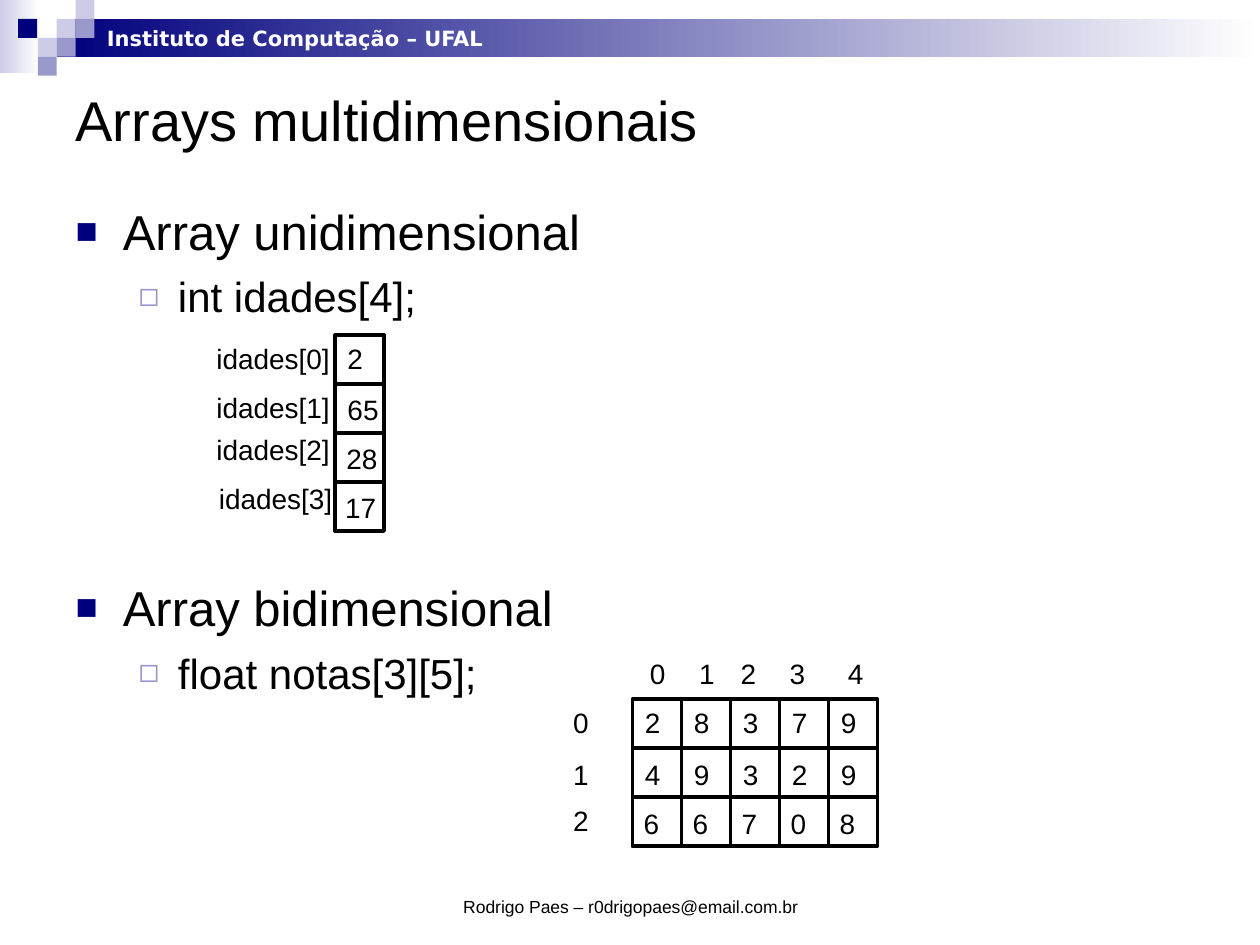
"""Build the slide on one- and two-dimensional arrays."""
from lxml import etree
from pptx import Presentation
from pptx.dml.color import RGBColor
from pptx.enum.shapes import MSO_SHAPE
from pptx.enum.text import MSO_ANCHOR, MSO_AUTO_SIZE, PP_ALIGN
from pptx.oxml.ns import qn
from pptx.util import Pt

RECTANGLE = MSO_SHAPE.RECTANGLE
MIDDLE, BOTTOM = MSO_ANCHOR.MIDDLE, MSO_ANCHOR.BOTTOM
NO_AUTOFIT = MSO_AUTO_SIZE.NONE
LEFT, CENTER = PP_ALIGN.LEFT, PP_ALIGN.CENTER
NAVY, LAVENDER, PERIWINKLE = "00007D", "CCCCE6", "9999CC"
CELL = 28


def paint(color_format, color):
    color_format.rgb = RGBColor.from_string(color)


def write(text, shape=None, paragraph=None, box=None, size=16, color="000000",
          font="Arial", bold=False, align=LEFT, anchor=None, wrap=False):
    if box:
        shape = slide.shapes.add_textbox(*map(Pt, box))
    if shape:
        frame = shape.text_frame
        frame.word_wrap = wrap
        frame.auto_size = NO_AUTOFIT
        if anchor is not None:
            frame.vertical_anchor = anchor
        paragraph = frame.paragraphs[0]
    paragraph.alignment = align
    run = paragraph.add_run()
    run.text = text
    run.font.name, run.font.size, run.font.bold = font, Pt(size), bold
    paint(run.font.color, color)


presentation = Presentation()
presentation.slide_width, presentation.slide_height = Pt(720), Pt(540)
slide = presentation.slides.add_slide(presentation.slide_layouts[1])

header_bands = [(0, 0, 22.3, 41.8, LAVENDER), (32.4, 10.8, 687.6, 21.6, NAVY)]
for left, top, width, height, color in header_bands:
    band = slide.shapes.add_shape(RECTANGLE, Pt(left), Pt(top), Pt(width), Pt(height))
    band.shadow.inherit = False
    band.line.fill.background()
    band.fill.gradient()
    band.fill.gradient_angle = 0
    for stop, position, stop_color in zip(band.fill.gradient_stops, (0, 1), (color, "FFFFFF")):
        stop.position = position
        paint(stop.color, stop_color)

header_squares = [
    (32.4, 10.8, LAVENDER), (43.2, 0, LAVENDER), (43.2, 10.8, PERIWINKLE),
    (21.6, 21.6, LAVENDER), (10.4, 10.8, NAVY), (32.4, 21.6, PERIWINKLE),
    (21.6, 32.4, PERIWINKLE),
]
for left, top, color in header_squares:
    square = slide.shapes.add_shape(RECTANGLE, Pt(left), Pt(top), Pt(10.8), Pt(10.8))
    square.shadow.inherit = False
    square.line.fill.background()
    square.fill.solid()
    paint(square.fill.fore_color, color)

write("Instituto de Computação – UFAL", box=(54, 10.8, 233.3, 21.6), size=12,
      color="FFFFFF", font="DejaVu Sans", bold=True)

title, body = slide.placeholders
title.left, title.top, title.width, title.height = Pt(36), Pt(36), Pt(648), Pt(64)
write("Arrays multidimensionais", shape=title, size=32, anchor=MIDDLE, wrap=True)

body.left, body.top, body.width, body.height = Pt(36), Pt(111.6), Pt(648), Pt(374.4)
body.text_frame.auto_size = NO_AUTOFIT
levels = [
    dict(size=28, margin=27, indent=-27, bullet="■", color=NAVY, percent=75),
    dict(size=24, margin=58.5, indent=-22.5, bullet="◻", color=PERIWINKLE, percent=80),
]
outline = [
    ("Array unidimensional", 0, 7), ("int idades[4];", 1, 6),
    ("Array bidimensional", 0, 146.5), ("float notas[3][5];", 1, 6),
]
for index, (text, level, space_before) in enumerate(outline):
    style = levels[level]
    paragraph = body.text_frame.add_paragraph() if index else body.text_frame.paragraphs[0]
    paragraph.level = level
    paragraph.space_before = Pt(space_before)
    write(text, paragraph=paragraph, size=style["size"])
    properties = paragraph._p.get_or_add_pPr()
    properties.set("marL", str(Pt(style["margin"])))
    properties.set("indent", str(Pt(style["indent"])))
    bullet_color = etree.SubElement(properties, qn("a:buClr"))
    etree.SubElement(bullet_color, qn("a:srgbClr"), val=style["color"])
    etree.SubElement(properties, qn("a:buSzPct"), val=str(style["percent"] * 1000))
    etree.SubElement(properties, qn("a:buChar"), char=style["bullet"])

write("Rodrigo Paes – r0drigopaes@email.com.br", box=(246.2, 491.8, 228.2, 36),
      size=10, align=CENTER, anchor=BOTTOM, wrap=True)

ages = [["2"], ["65"], ["28"], ["17"]]
grades = ["28379", "49329", "66708"]
for grid_left, grid_top, rows in [(191.5, 191.5, ages), (361.4, 399.6, grades)]:
    for row, values in enumerate(rows):
        for column, value in enumerate(values):
            left, top = grid_left + column * CELL, grid_top + row * CELL
            cell = slide.shapes.add_shape(RECTANGLE, Pt(left), Pt(top), Pt(CELL), Pt(CELL))
            cell.shadow.inherit = False
            cell.fill.solid()
            paint(cell.fill.fore_color, "FFFFFF")
            paint(cell.line.color, "000000")
            cell.line.width = Pt(2)
            nudge = 1.5 if row else 0
            write(value, box=(left - max(row - 1, 0) * 0.7, top + nudge, 15 + 8.8 * len(value), 26.6))

for index, (left, top) in enumerate([(116.6, 191.5), (116.6, 219.6), (116.6, 243.4), (118, 271.4)]):
    write(f"idades[{index}]", box=(left, top, 80, 26.6))
for index, top in enumerate([399.6, 429.1, 455.8]):
    write(str(index), box=(320.4, top, 23.8, 26.6))
for index, left in enumerate([364.3, 392.4, 416.2, 444.2, 477.4]):
    write(str(index), box=(left, 371.5, 23.8, 26.6))

presentation.save("out.pptx")
